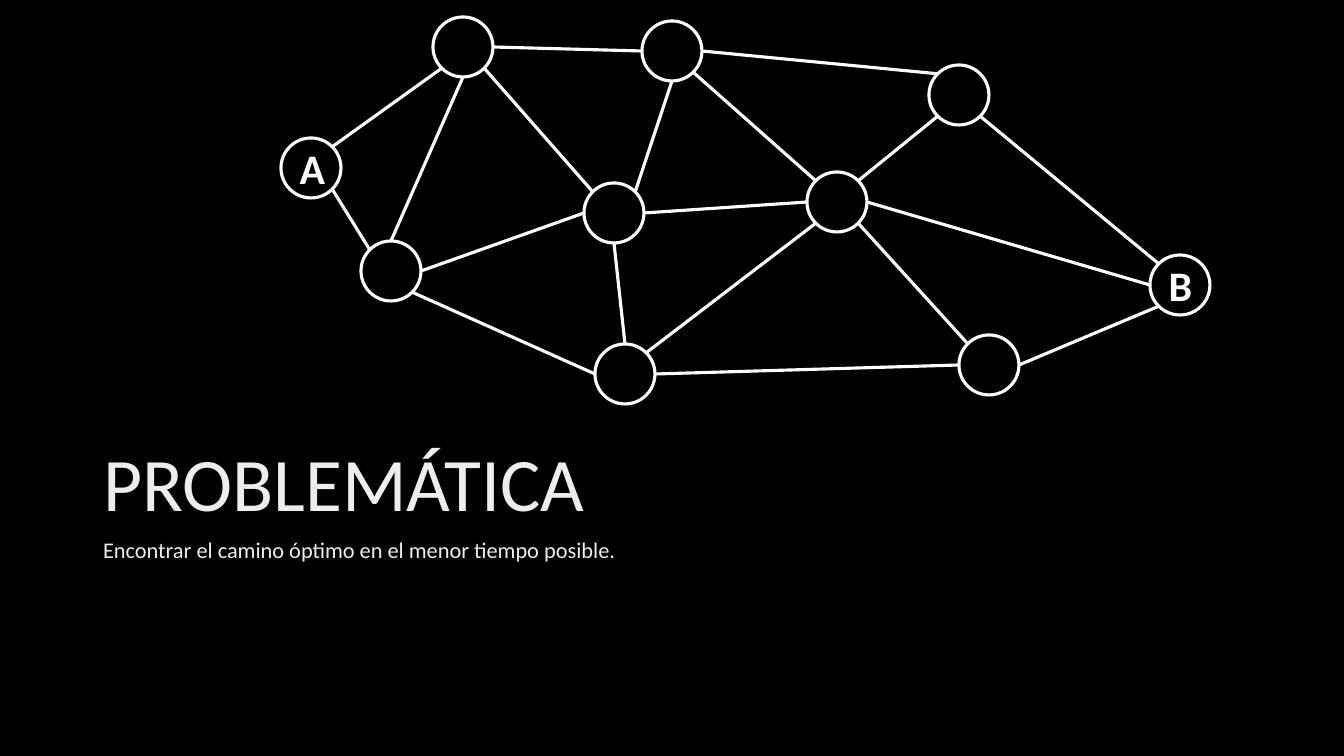
from dataclasses import dataclass
from enum import IntEnum
from math import cos, pi, sin

from lxml.etree import SubElement
from pptx import Presentation
from pptx.dml.color import RGBColor
from pptx.enum.shapes import MSO_CONNECTOR as Connector, MSO_SHAPE as Shape
from pptx.enum.text import MSO_ANCHOR as Anchor, MSO_AUTO_SIZE as AutoSize, PP_ALIGN as Align
from pptx.oxml.ns import qn
from pptx.util import Emu, Pt


@dataclass(frozen=True)
class Theme:
    background: RGBColor = RGBColor(0, 0, 0)
    line: RGBColor = RGBColor(255, 255, 255)
    text: RGBColor = RGBColor(0xED, 0xED, 0xED)
    font: str = "Calibri"
    title_size: Pt = Pt(54)
    body_size: Pt = Pt(16)
    label_size: Pt = Pt(30)
    line_width: Pt = Pt(2.25)


class Site(IntEnum):
    TOP = 0
    TOP_LEFT = 1
    LEFT = 2
    BOTTOM_LEFT = 3
    BOTTOM = 4
    BOTTOM_RIGHT = 5
    RIGHT = 6
    TOP_RIGHT = 7


@dataclass(frozen=True)
class Node:
    x: int
    y: int
    label: str = ""

    def site(self, site: Site) -> tuple[Emu, Emu]:
        angle = site * pi / 4
        return px(self.x - RADIUS * sin(angle)), px(self.y - RADIUS * cos(angle))


@dataclass(frozen=True)
class Edge:
    start: str
    start_site: Site
    end: str
    end_site: Site


THEME = Theme()
EMU_PER_PX = 12192000 / 1344
RADIUS = 30

NODES = {
    "start": Node(311, 168, "A"),
    "goal": Node(1180, 285, "B"),
    "north_west": Node(463, 47),
    "middle": Node(614, 213),
    "north": Node(672, 51),
    "west": Node(391, 271),
    "south": Node(625, 374),
    "hub": Node(837, 202),
    "south_east": Node(989, 365),
    "north_east": Node(959, 95),
}

EDGES = [
    Edge("start", Site.TOP_RIGHT, "north_west", Site.BOTTOM_LEFT),
    Edge("north_west", Site.RIGHT, "north", Site.LEFT),
    Edge("north_west", Site.BOTTOM_RIGHT, "middle", Site.TOP_LEFT),
    Edge("west", Site.TOP, "north_west", Site.BOTTOM),
    Edge("west", Site.RIGHT, "middle", Site.LEFT),
    Edge("start", Site.BOTTOM_RIGHT, "west", Site.TOP_LEFT),
    Edge("hub", Site.TOP_LEFT, "north", Site.BOTTOM_RIGHT),
    Edge("middle", Site.BOTTOM, "south", Site.TOP),
    Edge("west", Site.BOTTOM_RIGHT, "south", Site.LEFT),
    Edge("north", Site.RIGHT, "north_east", Site.TOP_LEFT),
    Edge("hub", Site.TOP_RIGHT, "north_east", Site.BOTTOM_LEFT),
    Edge("middle", Site.TOP_RIGHT, "north", Site.BOTTOM),
    Edge("middle", Site.RIGHT, "hub", Site.LEFT),
    Edge("south", Site.RIGHT, "south_east", Site.LEFT),
    Edge("north_east", Site.BOTTOM_RIGHT, "goal", Site.TOP_LEFT),
    Edge("hub", Site.RIGHT, "goal", Site.LEFT),
    Edge("south_east", Site.RIGHT, "goal", Site.BOTTOM_LEFT),
    Edge("hub", Site.BOTTOM_RIGHT, "south_east", Site.TOP_LEFT),
    Edge("south", Site.TOP_RIGHT, "hub", Site.BOTTOM_LEFT),
]


def px(value: float) -> Emu:
    return Emu(round(value * EMU_PER_PX))


def style_line(shape) -> None:
    shape.line.color.rgb = THEME.line
    shape.line.width = THEME.line_width


def style_font(paragraph, size: Pt, color: RGBColor, bold: bool = False) -> None:
    font = paragraph.font
    font.name = THEME.font
    font.size = size
    font.bold = bold
    font.color.rgb = color


def draw_node(slide, node: Node):
    shape = slide.shapes.add_shape(
        Shape.OVAL, px(node.x - RADIUS), px(node.y - RADIUS), px(2 * RADIUS), px(2 * RADIUS)
    )
    shape.shadow.inherit = False
    shape.fill.background()
    style_line(shape)
    if node.label:
        frame = shape.text_frame
        frame.text = node.label
        frame.vertical_anchor = Anchor.MIDDLE
        paragraph = frame.paragraphs[0]
        paragraph.alignment = Align.CENTER
        style_font(paragraph, THEME.label_size, THEME.line, bold=True)
    return shape


def draw_edge(slide, edge: Edge, circles: dict) -> None:
    connector = slide.shapes.add_connector(
        Connector.STRAIGHT,
        *NODES[edge.start].site(edge.start_site),
        *NODES[edge.end].site(edge.end_site),
    )
    style_line(connector)
    element = connector._element
    SubElement(element.spPr, qn("a:effectLst"))
    ends = (("a:stCxn", edge.start, edge.start_site), ("a:endCxn", edge.end, edge.end_site))
    for tag, name, site in ends:
        glue = SubElement(element.nvCxnSpPr.cNvCxnSpPr, qn(tag))
        glue.set("id", str(circles[name].shape_id))
        glue.set("idx", str(int(site)))


def fill_placeholder(shape, text: str, top: int, height: int, size: Pt, anchor: Anchor) -> None:
    shape.left, shape.top, shape.width, shape.height = px(93), px(top), px(1159), px(height)
    frame = shape.text_frame
    frame.text = text
    frame.word_wrap = True
    frame.auto_size = AutoSize.NONE
    frame.vertical_anchor = anchor
    paragraph = frame.paragraphs[0]
    paragraph.alignment = Align.LEFT
    paragraph.line_spacing = 0.9
    style_font(paragraph, size, THEME.text)


def main() -> None:
    presentation = Presentation()
    presentation.slide_width, presentation.slide_height = px(1344), px(756)
    slide = presentation.slides.add_slide(presentation.slide_layouts.get_by_name("Section Header"))
    slide.background.fill.solid()
    slide.background.fill.fore_color.rgb = THEME.background

    title, body = slide.placeholders
    fill_placeholder(title, "PROBLEMÁTICA", 256, 277, THEME.title_size, Anchor.BOTTOM)
    fill_placeholder(
        body, "Encontrar el camino óptimo en el menor tiempo posible.",
        534, 126, THEME.body_size, Anchor.TOP,
    )
    body.text_frame.paragraphs[0].space_before = Pt(10)

    circles = {name: draw_node(slide, node) for name, node in NODES.items()}
    for edge in EDGES:
        draw_edge(slide, edge, circles)

    presentation.save("out.pptx")


if __name__ == "__main__":
    main()
